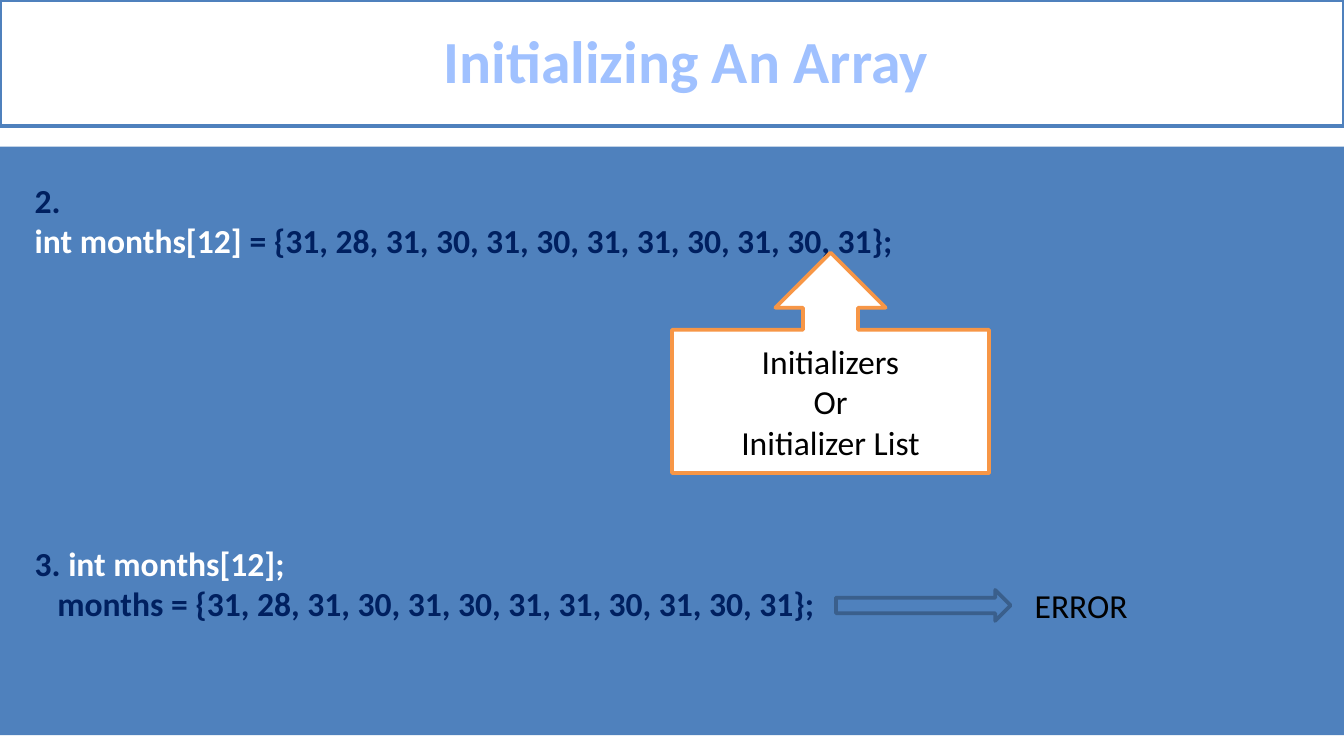
from pptx import Presentation
from pptx.dml.color import RGBColor
from pptx.enum.shapes import MSO_SHAPE
from pptx.enum.text import MSO_ANCHOR, PP_ALIGN
from pptx.util import Inches, Pt

WHITE = RGBColor(0xFF, 0xFF, 0xFF)
BLACK = RGBColor(0x00, 0x00, 0x00)
BLUE = RGBColor(0x4F, 0x81, 0xBD)
DARK_BLUE = RGBColor(0x3A, 0x5F, 0x8C)
NAVY = RGBColor(0x00, 0x20, 0x60)
LIGHT_BLUE = RGBColor(0xA0, 0xC1, 0xFF)
ORANGE = RGBColor(0xF7, 0x96, 0x46)

SLIDE_WIDTH = Inches(10)
SLIDE_HEIGHT = SLIDE_WIDTH * 9 // 16

VALUES = "{31, 28, 31, 30, 31, 30, 31, 31, 30, 31, 30, 31};"
CODE_LINES = [
    [("2.", NAVY)],
    [("int months[12] ", WHITE), (f"= {VALUES}", NAVY)],
    [("3. ", NAVY), ("int months[12];", WHITE)],
    [(f"   months = {VALUES}", NAVY)],
]
SECOND_EXAMPLE = 2
EXAMPLE_GAP = Pt(151)


def set_font(font, color, **values):
    for name, value in {"name": "Calibri", "size": Pt(18), **values}.items():
        setattr(font, name, value)
    font.color.rgb = color


def paint(shape, fill, line=None):
    shape.fill.solid()
    shape.fill.fore_color.rgb = fill
    if line is None:
        shape.line.fill.background()
    else:
        shape.line.color.rgb = line
        shape.line.width = Pt(2)


def add_box(slide, kind, left, top, width, height, fill, line=None):
    box = slide.shapes.add_shape(
        kind, Inches(left), Inches(top), Inches(width), Inches(height))
    box.shadow.inherit = False
    paint(box, fill, line)
    return box


def add_text(slide, left, top, width, height, wrap):
    text = slide.shapes.add_textbox(
        Inches(left), Inches(top), Inches(width), Inches(height))
    text.text_frame.word_wrap = wrap
    return text.text_frame


def write_lines(frame, lines, align):
    """Write each line, a list of (text, colour) runs, as a paragraph."""
    for index, runs in enumerate(lines):
        paragraph = frame.paragraphs[0] if index == 0 else frame.add_paragraph()
        paragraph.alignment = align
        for text, color in runs:
            run = paragraph.add_run()
            run.text = text
            set_font(run.font, color)


def set_title(slide, text):
    title = slide.shapes.title
    place = {"left": 0, "top": 0, "width": 10, "height": 0.94}
    for name, value in place.items():
        setattr(title, name, Inches(value))
    paint(title, WHITE, BLUE)
    frame = title.text_frame
    frame.text = text
    frame.vertical_anchor = MSO_ANCHOR.MIDDLE
    frame.margin_left = Inches(0.31)
    paragraph = frame.paragraphs[0]
    paragraph.alignment = PP_ALIGN.CENTER
    paragraph.line_spacing = 0.96
    set_font(paragraph.runs[0].font, LIGHT_BLUE, size=Pt(32), bold=True)


def add_code(slide):
    frame = add_text(slide, 0.16, 1.29, 9.33, 3.43, wrap=True)
    write_lines(frame, CODE_LINES, PP_ALIGN.LEFT)
    for paragraph in frame.paragraphs:
        for run in paragraph.runs:
            run.font.bold = True
    frame.paragraphs[SECOND_EXAMPLE].space_before = EXAMPLE_GAP


def add_callout(slide, lines):
    callout = add_box(slide, MSO_SHAPE.UP_ARROW_CALLOUT,
                      5, 1.88, 2.36, 1.64, WHITE, ORANGE)
    callout.text_frame.vertical_anchor = MSO_ANCHOR.MIDDLE
    write_lines(callout.text_frame, [[(line, BLACK)] for line in lines],
                PP_ALIGN.CENTER)


def main():
    deck = Presentation()
    deck.slide_width, deck.slide_height = SLIDE_WIDTH, SLIDE_HEIGHT
    slide = deck.slides.add_slide(deck.slide_layouts[5])

    set_title(slide, "Initializing An Array")
    add_box(slide, MSO_SHAPE.RECTANGLE, 0, 1.09, 10, 4.38, BLUE)
    add_code(slide)
    add_callout(slide, ["Initializers", "Or", "Initializer List"])
    error = add_text(slide, 7.6, 4.3, 0.9, 0.4, wrap=False)
    write_lines(error, [[("ERROR", BLACK)]], PP_ALIGN.LEFT)
    add_box(slide, MSO_SHAPE.RIGHT_ARROW, 6.22, 4.39, 1.3, 0.23, BLUE, DARK_BLUE)

    deck.save("out.pptx")


if __name__ == "__main__":
    main()
